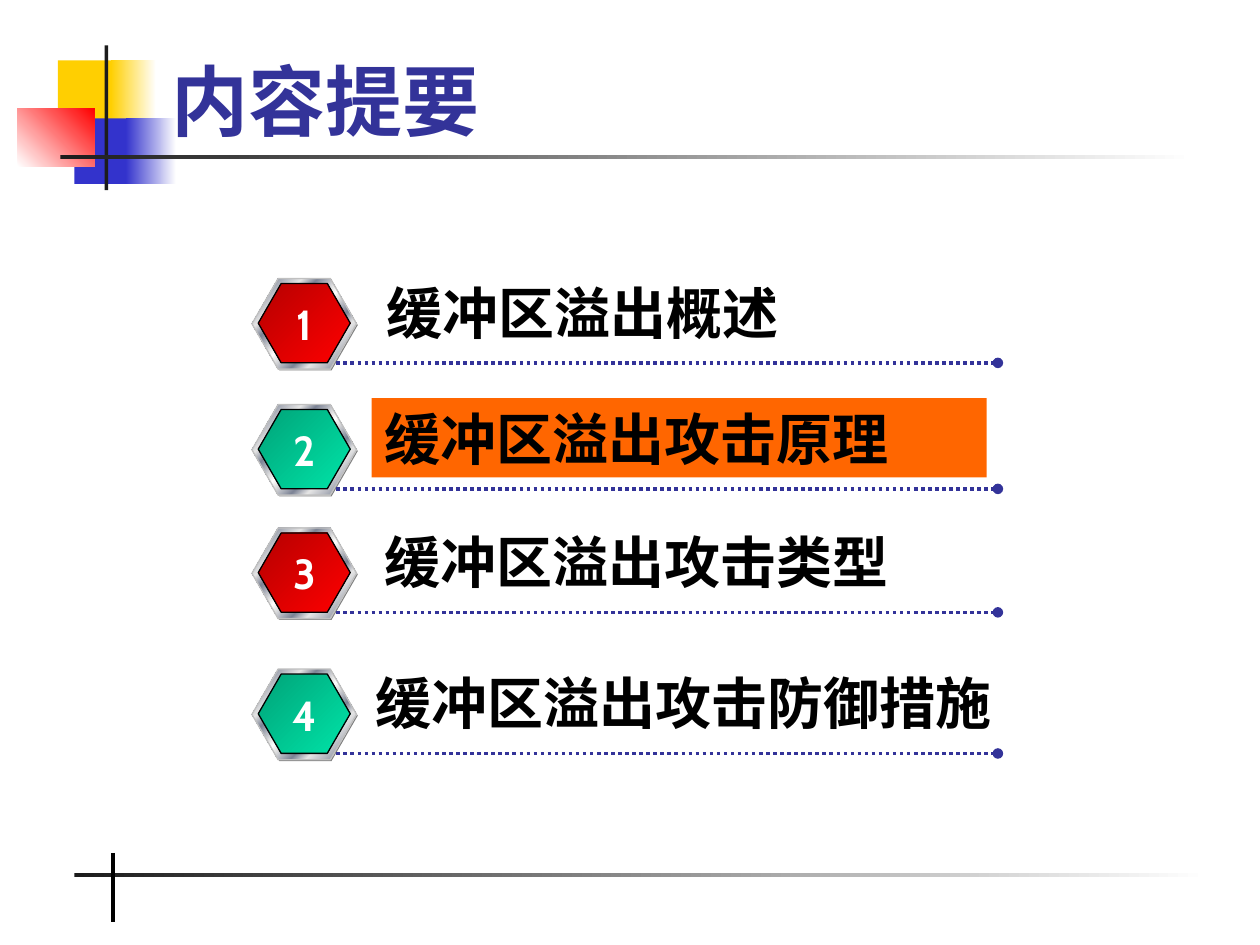
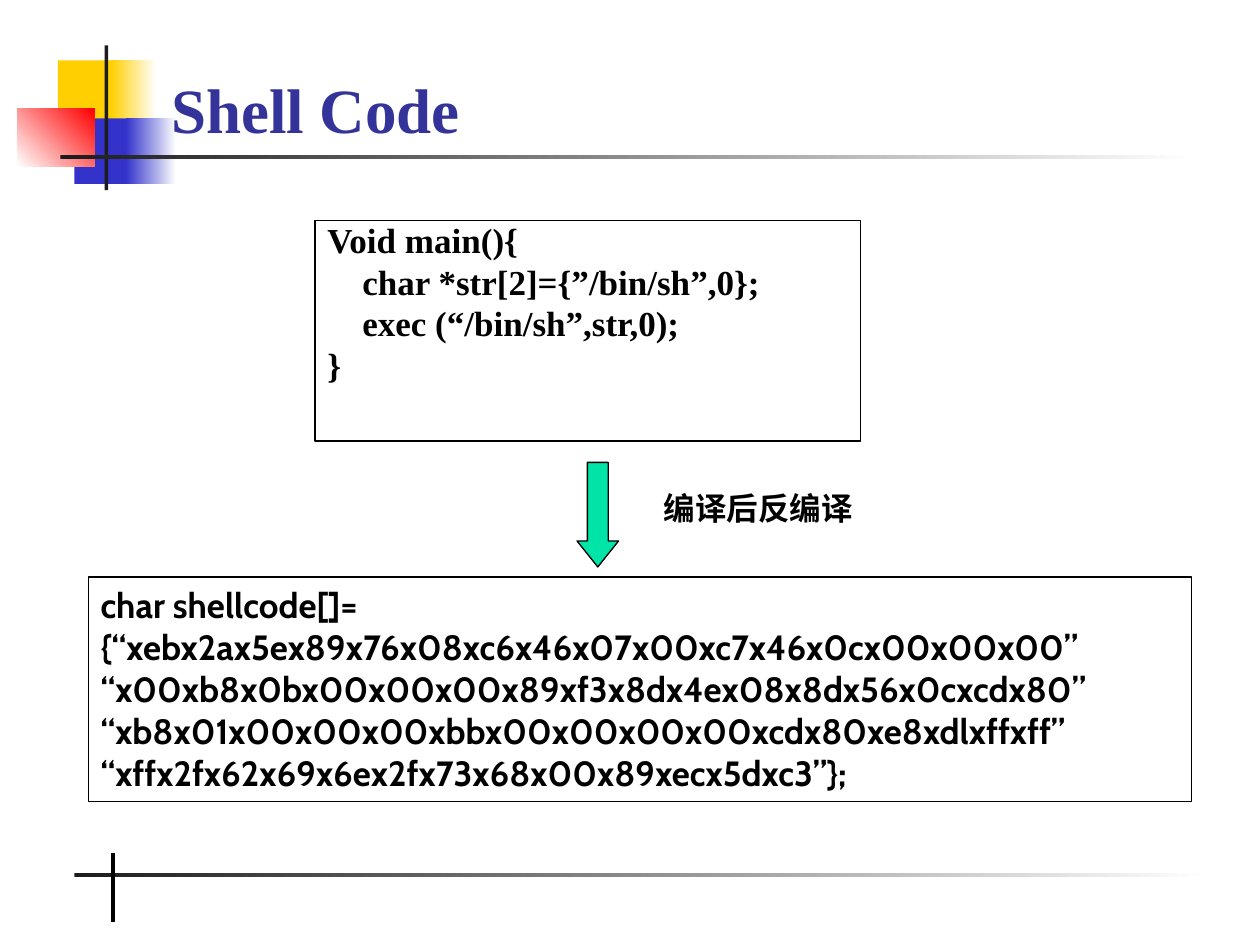
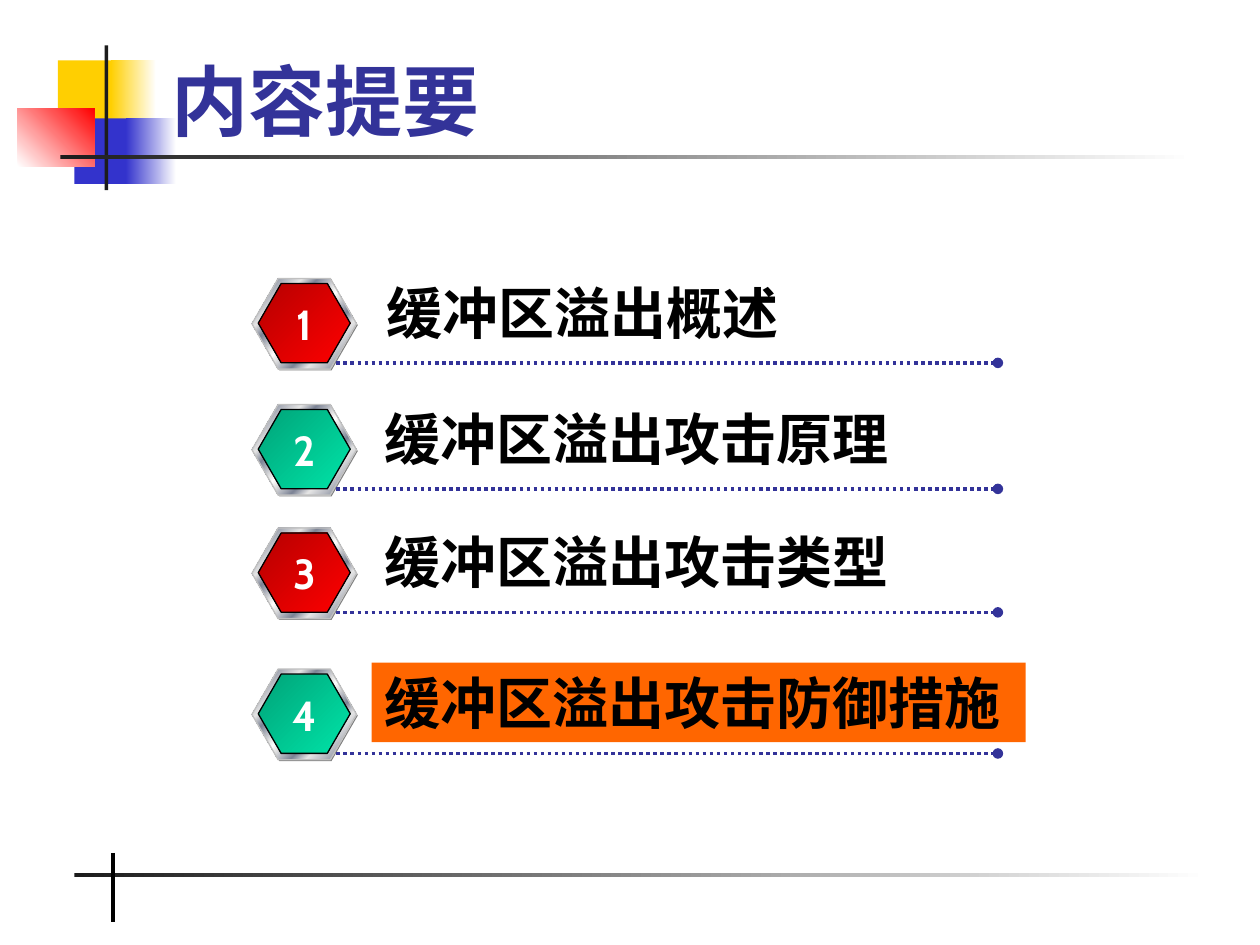
from lxml.etree import SubElement
from pptx import Presentation
from pptx.dml.color import RGBColor
from pptx.enum.dml import MSO_LINE
from pptx.enum.shapes import MSO_CONNECTOR, MSO_SHAPE
from pptx.enum.text import MSO_ANCHOR, PP_ALIGN
from pptx.oxml.ns import qn
from pptx.util import Inches, Pt

C = {
    "black": "000000", "white": "FFFFFF", "ink": "1C1C1C", "title": "333399",
    "yellow": "FFCF01", "blue": "3333CC", "red": "FF0000", "dark red": "B60000",
    "green": "00E4A8", "dark green": "00A378", "orange": "FF6600",
    "shade": "808080", "rim": "C0C0C0", "steel": "7D8496", "silver": "E6E6E6",
}
CJK = "Noto Sans CJK SC"
SERIF = "Times New Roman"
SANS = "Cabin"


def add_shape(shapes, kind, box, fill=None, line=None):
    """Add a shape; fill is None, a colour name or (angle, [(percent, colour name), ...])."""
    sp = shapes.add_shape(kind, *map(Inches, box))
    sp.shadow.inherit = False
    if fill is None:
        sp.fill.background()
    elif isinstance(fill, str):
        sp.fill.solid()
        sp.fill.fore_color.rgb = RGBColor.from_string(C[fill])
    else:
        angle, stops = fill
        sp.fill.gradient()
        sp.fill.gradient_angle = (360 - angle) % 360
        gs_lst = next(sp.element.iter(qn("a:gsLst")))
        for gs in list(gs_lst):
            gs_lst.remove(gs)
        for pos, color in stops:
            gs = SubElement(gs_lst, qn("a:gs"), pos=str(pos * 1000))
            SubElement(gs, qn("a:srgbClr"), val=C[color])
    if line is None:
        sp.line.fill.background()
    else:
        sp.line.color.rgb = RGBColor.from_string(C[line])
        sp.line.width = Pt(0.75)
    return sp


def write(tf, lines, size, name, color="black", align=PP_ALIGN.LEFT,
          anchor=MSO_ANCHOR.TOP, wrap=True, spacing=None, before=None):
    tf.word_wrap = wrap
    tf.vertical_anchor = anchor
    for i, line in enumerate(lines):
        p = tf.paragraphs[0] if i == 0 else tf.add_paragraph()
        p.alignment = align
        if spacing:
            p.line_spacing = spacing
        if before and i:
            p.space_before = Pt(before)
        r = p.add_run()
        r.text = line
        for key, value in {"size": Pt(size), "name": name, "bold": True}.items():
            setattr(r.font, key, value)
        r.font.color.rgb = RGBColor.from_string(C[color])
        SubElement(r.font._element, qn("a:ea"), typeface=CJK)


prs = Presentation()
prs.slide_width, prs.slide_height = Inches(10), Inches(7.5)
layout = prs.slide_layouts[5]
for ph in list(layout.placeholders):
    if ph.placeholder_format.idx:
        ph.element.getparent().remove(ph.element)

# Slides and titles
slides = []
for text, size in [("内容提要", 44), ("Shell Code", 36), ("内容提要", 44)]:
    s = prs.slides.add_slide(layout)
    title = s.shapes.title
    title.left, title.top, title.width, title.height = map(Inches, (1.26, 0.16, 8.52, 1.05))
    write(title.text_frame, [text], size, SERIF, "title", anchor=MSO_ANCHOR.BOTTOM)
    slides.append(s)

# Shared decoration, drawn once and moved to the layout
fade = [(0, "ink"), (100, "white")]
decoration = [
    add_shape(slides[0].shapes, MSO_SHAPE.RECTANGLE, box, fill)
    for box, fill in [
        ((0.46, 0.48, 0.48, 0.52), "yellow"),
        ((0.88, 0.48, 0.36, 0.52), (0, [(0, "yellow"), (100, "white")])),
        ((0.59, 0.94, 0.46, 0.52), "blue"),
        ((1, 0.94, 0.4, 0.52), (0, [(0, "blue"), (100, "white")])),
        ((0.14, 0.86, 0.61, 0.46), (315, [(0, "white"), (100, "red")])),
        ((0.83, 0.36, 0.03, 1.15), "ink"),
        ((0.48, 1.23, 9, 0.03), (0, fade)),
        ((0.59, 6.93, 9, 0.03), (0, fade)),
    ]
]
footer_bar = slides[0].shapes.add_connector(
    MSO_CONNECTOR.STRAIGHT, *map(Inches, (0.9, 6.77, 0.9, 7.32)))
footer_bar.line.color.rgb = RGBColor.from_string(C["black"])
footer_bar.line.width = Pt(2.25)
SubElement(footer_bar.element.spPr, qn("a:effectLst"))
for sp in decoration + [footer_bar]:
    layout.shapes.element.append(sp.element)

# Agenda slides: the current topic is highlighted
metal = (45, [(0, "silver"), (8, "steel"), (26, "silver"), (34, "steel"), (46, "silver"),
              (50, "white"), (54, "silver"), (66, "steel"), (74, "silver"), (93, "steel"),
              (100, "silver")])
badge_fills = [(45, [(0, "dark red"), (100, "red")]), (45, [(0, "dark green"), (100, "green")])]
topics = [
    ("缓冲区溢出概述", 2.21, 2.97, 5.02),
    ("缓冲区溢出攻击原理", 3.21, 2.95, 4.88),
    ("缓冲区溢出攻击类型", 4.19, 2.95, 5.91),
    ("缓冲区溢出攻击防御措施", 5.31, 2.88, 5.66),
]
for s, current, current_width in [(slides[0], 2, 4.88), (slides[2], 4, 5.19)]:
    for number, (topic, top, left, width) in enumerate(topics, 1):
        badge = s.shapes.add_group_shape()
        for box, fill, line in [
            ((2.01, top + 0.01, 0.83, 0.72), "shade", None),
            ((2, top, 0.83, 0.72), metal, "rim"),
            ((2.05, top + 0.04, 0.73, 0.63), badge_fills[(number - 1) % 2], "black"),
        ]:
            sp = add_shape(badge.shapes, MSO_SHAPE.HEXAGON, box, fill, line)
            sp.adjustments[0] = 0.289

        rule = s.shapes.add_connector(
            MSO_CONNECTOR.STRAIGHT, *map(Inches, (2.67, top + 0.67, 7.92, top + 0.67)))
        rule.line.color.rgb = RGBColor.from_string(C["title"])
        rule.line.width = Pt(2)
        rule.line.dash_style = MSO_LINE.ROUND_DOT
        SubElement(rule.element.spPr.find(qn("a:ln")), qn("a:tailEnd"), type="oval")
        SubElement(rule.element.spPr, qn("a:effectLst"))

        if number == current:
            label = add_shape(s.shapes, MSO_SHAPE.RECTANGLE,
                              (2.95, top - 0.05, current_width, 0.63), "orange")
        else:
            label = s.shapes.add_textbox(*map(Inches, (left, top - 0.05, width, 0.63)))
        write(label.text_frame, [topic], 32, CJK)
        digit = s.shapes.add_textbox(*map(Inches, (2.22, top + 0.11, 0.39, 0.5)))
        write(digit.text_frame, [str(number)], 24, SANS, "white", PP_ALIGN.CENTER, wrap=False)

# Shell code slide
s = slides[1]
source = add_shape(s.shapes, MSO_SHAPE.RECTANGLE, (2.5, 1.75, 4.33, 1.75), line="black")
write(source.text_frame, [
    "Void main(){",
    "    char *str[2]={”/bin/sh”,0};",
    "    exec (“/bin/sh”,str,0);",
    "}",
], 20, SERIF, spacing=0.8, before=4.6)

shellcode = add_shape(s.shapes, MSO_SHAPE.RECTANGLE, (0.7, 4.58, 8.76, 1.78), line="black")
write(shellcode.text_frame, [
    "char shellcode[]=",
    "{“xebx2ax5ex89x76x08xc6x46x07x00xc7x46x0cx00x00x00”",
    "“x00xb8x0bx00x00x00x89xf3x8dx4ex08x8dx56x0cxcdx80”",
    "“xb8x01x00x00x00xbbx00x00x00x00xcdx80xe8xdlxffxff”",
    "“xffx2fx62x69x6ex2fx73x68x00x89xecx5dxc3”};",
], 20, SANS)

arrow = add_shape(s.shapes, MSO_SHAPE.DOWN_ARROW, (4.58, 3.67, 0.33, 0.83), "green", "black")
arrow.adjustments[1] = 0.625
step = s.shapes.add_textbox(*map(Inches, (5.17, 3.83, 1.71, 0.4)))
write(step.text_frame, ["编译后反编译"], 18, SANS, wrap=False)

prs.save("out.pptx")
